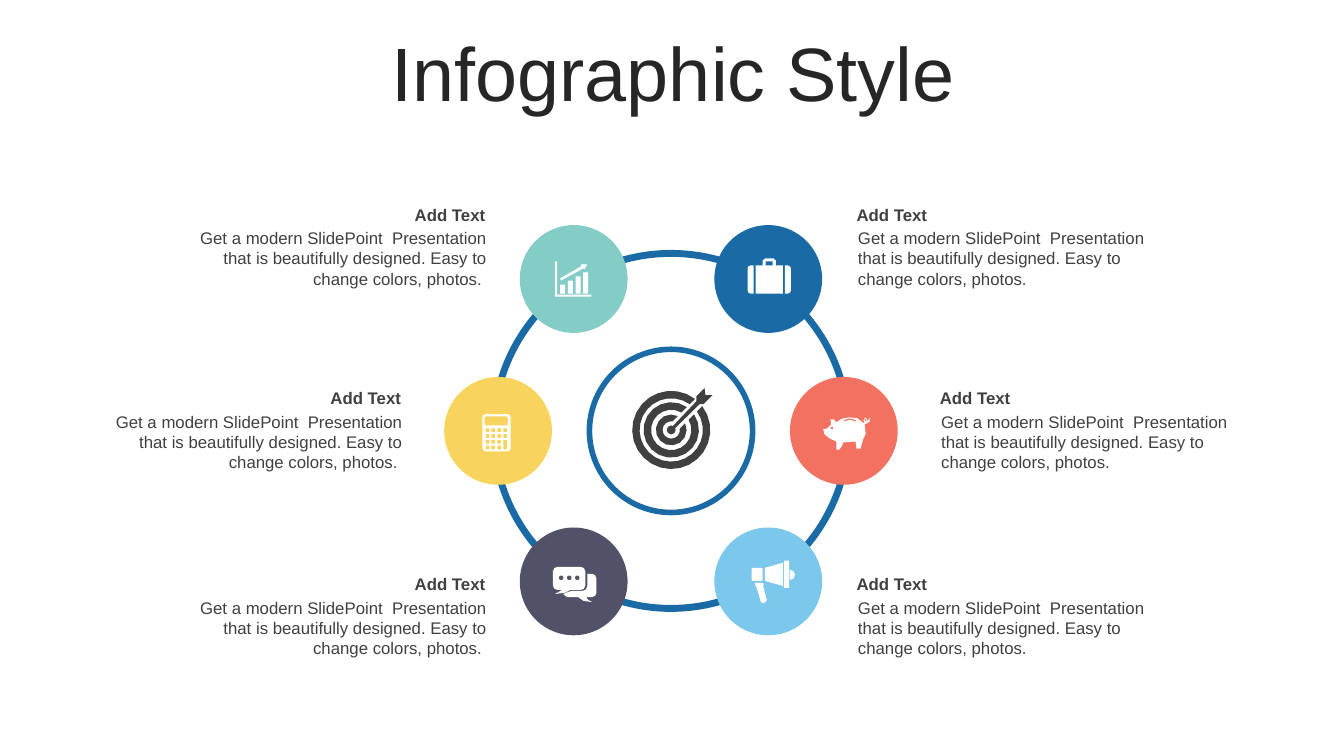
from math import asin, cos, degrees, radians, sin

from pptx import Presentation
from pptx import util as u
from pptx.dml import color
from pptx.enum import shapes, text

Pt = u.Pt


def paint(fill, hex_color):
    fill.solid()
    fill.fore_color.rgb = color.RGBColor.from_string(hex_color)


def rounded(left, top, width, height, radius=0):
    right, bottom = left + width - radius, top + height - radius
    corners = [(right, bottom), (left + radius, bottom),
               (left + radius, top + radius), (right, top + radius)]
    return [(x + radius * cos(radians(90 * quarter + angle)),
             y + radius * sin(radians(90 * quarter + angle)))
            for quarter, (x, y) in enumerate(corners)
            for angle in ((0, 45, 90) if radius else (0,))]


presentation = Presentation()
presentation.slide_width, presentation.slide_height = Pt(960), Pt(540)
slide = presentation.slides.add_slide(presentation.slide_layouts[5])

title = slide.shapes.title
title.left, title.top, title.width, title.height = Pt(25.2), Pt(26.6), Pt(911.5), Pt(57)
title.text_frame.text = "Infographic Style"
title.text_frame.auto_size = text.MSO_AUTO_SIZE.NONE
title.text_frame.vertical_anchor = text.MSO_ANCHOR.MIDDLE
paragraph = title.text_frame.paragraphs[0]
paragraph.alignment = text.PP_ALIGN.CENTER
paragraph.line_spacing = 0.9
paragraph.space_before = Pt(10)
paragraph.font.size = Pt(54)
paragraph.font.name = "Arial"
paint(paragraph.font.fill, "262626")

chart_icon = [rounded(-9.7 + 5.5 * bar, 4 - 2.9 * bar, 3.6, 6.4 + 2.9 * bar)
              for bar in range(4)]
chart_icon += [
    [(5.4, -10.4), (9.7, -10.4), (7.6, -6.8), (6.8, -7.6), (-9, 1.1), (-9.7, -0.4), (5.4, -9.1)],
    [(-13.3, -12.6), (-11.9, -12.6), (-11.9, 11.2), (12.6, 11.2), (12.6, 12.6), (-13.3, 12.6)],
]

suitcase_icon = [
    [(11.9, -9.7), (14, -9.7), (15.6, -9), (16.2, -7.6),
     (16.2, 8), (15.6, 9.7), (14, 10.4), (11.9, 10.4)],
    [(-10.4, -9.7), (-12.6, -9.7), (-14.2, -9), (-14.8, -7.6),
     (-14.8, 8), (-14.2, 9.7), (-12.6, 10.4), (-10.4, 10.4)],
    [(-9, -9.7), (-4, -9.7), (-4, -13.2), (-2.2, -14.8), (3.6, -14.8),
     (5.4, -13.2), (5.4, -9.7), (10.4, -9.7), (10.4, 10.4), (-9, 10.4)],
    rounded(-1.8, -12.6, 5, 2.9),
]

calculator_icon = [rounded(-11.2, -11.9, 20.2, 26.6, 2.2),
                   rounded(-9.7, -10.4, 16.6, 6.5, 0.9),
                   rounded(3.75, 6.4, 2.7, 6.8)]
calculator_icon += [rounded(-9 + 4.25 * column, -1.8 + 4.1 * row, 2.7, 2.7)
                    for row in range(4) for column in range(4)
                    if row < 2 or column < 3]

pig_icon = [
    [(4, -9.7), (9.7, -9), (13.3, -6.1), (14.8, -5.4), (14, -7.6),
     (15.5, -9.7), (17.1, -7.2), (18.4, -9.7), (18.4, -6.5), (14.8, -4.6),
     (15.6, 2.2), (14, 5.4), (11.9, 12.6), (9, 12.6), (8.3, 7.6), (-0.4, 8.3),
     (-1.4, 10.8), (-3.2, 13.3), (-5.4, 13.3), (-5.4, 7.6), (-10, 5.5), (-13.8, 2.5),
     (-14.8, -1.1), (-11.9, -1.8), (-9, -4.7), (-9.7, -8.3), (-7.2, -8.2),
     (-5.4, -6.1), (-1.5, -8.7)],
    [(-0.4, -7.6), (4, -9), (9, -7.6), (8.3, -6.8), (4, -8), (0.4, -6.8)],
    rounded(-9.5, -3, 2, 2, 1),
    rounded(14.9, -8.2, 1.2, 1.2),
]

chat_icon = [rounded(-10.7 + 5.75 * dot, -4.3, 3.5, 3.5, 1.75) for dot in range(3)]
chat_icon += [
    rounded(-14.8, -10.4, 23.1, 16.5, 3.2),
    [(-2.5, 6.1), (-6, 8), (-13.3, 9), (-8.3, 6.1)],
    [(9.7, -5.4), (13, -5.4), (15.3, -4.5), (16.2, -2), (16.2, 8.3), (15.3, 10.3), (13, 11.2),
     (9, 11.2), (10.3, 13.2), (13.3, 14.8), (7, 13.9), (3.2, 11.2), (-4.7, 11.2), (-7.6, 9),
     (-1.8, 6.8), (6.1, 6.8), (8.8, 5.8), (9.7, 3.2)],
]

megaphone_icon = [
    [(-9.7, 1.1), (-4, 1.1), (-3.2, 1.8), (-3.6, 3.2), (-1.1, 13.3), (-2, 14.8),
     (-3.6, 15.5), (-5.2, 14.8), (-8.3, 4.7), (-9, 3.2)],
    [(15.5, -8.3), (18, -7.3), (19.1, -4.7), (18, -2.1), (15.5, -1.1)],
    [(10.4, -13.3), (10.4, 3.2), (-2.5, -0.4), (-2.5, -9.7)],
    rounded(-11.9, -9.7, 7.9, 9.4, 1),
    rounded(11.2, -14.8, 3.6, 19.5),
]

target_icon = [
    rounded(-3.2, -3.2, 6.4, 6.4, 3.2),
    [(23.8, -29.9), (24.5, -24.8), (29.5, -24.8), (23, -18.4), (20.2, -18.4),
     (2.9, -1.3), (1.3, -2.9), (18, -20.5), (18, -24.1)],
]
for outer, inner, steps in [(27.9, 22.6, 24), (19.8, 14.4, 18), (11, 6.2, 12)]:
    band = []
    for radius, direction in [(outer, 1), (inner, -1)]:
        gap = degrees(asin(3.7 / radius))
        angles = [45 + gap + (360 - 2 * gap) * step / steps for step in range(steps + 1)]
        band += [(radius * cos(radians(angle)), -radius * sin(radians(angle)))
                 for angle in angles[::direction]]
    target_icon.append(band)

center_x, center_y = 479.3, 307.8
hub_size, ring_size, disc_size = 116.6, 258.5, 77
hub = slide.shapes.add_shape(shapes.MSO_SHAPE.OVAL, Pt(center_x - hub_size / 2),
                             Pt(center_y - hub_size / 2), Pt(hub_size), Pt(hub_size))
hub.shadow.inherit = False
paint(hub.fill, "FFFFFF")
paint(hub.line.fill, "1A6BA5")
hub.line.width = Pt(4)

ring = slide.shapes.add_shape(shapes.MSO_SHAPE.DONUT, Pt(center_x - ring_size / 2),
                              Pt(center_y - ring_size / 2), Pt(ring_size), Pt(ring_size))
ring.adjustments[0] = 0.019
ring.shadow.inherit = False
paint(ring.fill, "1A6BA5")
ring.line.fill.background()

description = ("Get a modern SlidePoint  Presentation that is beautifully designed. "
               "Easy to change colors, photos.")
left_side, right_side = text.PP_ALIGN.RIGHT, text.PP_ALIGN.LEFT
topics = [
    (-69.5, -108.5, "84CCC6", chart_icon, 123.8, 142.4, left_side),
    (69.5, -108.5, "1A6BA5", suitcase_icon, 604.8, 142.4, right_side),
    (-123.5, 0, "F8D45E", calculator_icon, 63.6, 273.4, left_side),
    (123.5, 0, "F27161", pig_icon, 664.2, 273.4, right_side),
    (69.5, 107.5, "7CC8EC", megaphone_icon, 604.8, 406.2, right_side),
    (-69.5, 107.5, "525168", chat_icon, 123.8, 406.2, left_side),
]
icons = [(center_x + 0.2, center_y - 0.7, "404040", target_icon)]
for offset_x, offset_y, disc_color, icon, text_left, text_top, alignment in topics:
    x, y = center_x + offset_x, center_y + offset_y
    disc = slide.shapes.add_shape(shapes.MSO_SHAPE.OVAL, Pt(x - disc_size / 2),
                                  Pt(y - disc_size / 2), Pt(disc_size), Pt(disc_size))
    disc.shadow.inherit = False
    paint(disc.fill, disc_color)
    disc.line.fill.background()
    icons.append((x, y, "FFFFFF", icon))

    body = description + " " if alignment == left_side else description
    for words, shift_x, shift_y, height, bold in [("Add Text", 0, 0, 21.6, True),
                                                  (body, 1, 16.9, 51, False)]:
        box = slide.shapes.add_textbox(Pt(text_left + shift_x), Pt(text_top + shift_y),
                                       Pt(230), Pt(height))
        box.text_frame.word_wrap = True
        box.text_frame.auto_size = text.MSO_AUTO_SIZE.SHAPE_TO_FIT_TEXT
        box.text_frame.text = words
        paragraph = box.text_frame.paragraphs[0]
        paragraph.alignment = alignment
        paragraph.font.size = Pt(12)
        paragraph.font.name = "Arial"
        paragraph.font.bold = bold
        paint(paragraph.font.fill, "404040")

for x, y, icon_color, contours in icons:
    placed = [[(Pt(x + dx), Pt(y + dy)) for dx, dy in contour] for contour in contours]
    builder = slide.shapes.build_freeform(*placed[0][0])
    for contour in placed:
        if contour is not placed[0]:
            builder.move_to(*contour[0])
        builder.add_line_segments(contour[1:], close=True)
    shape = builder.convert_to_shape()
    shape.shadow.inherit = False
    paint(shape.fill, icon_color)
    shape.line.fill.background()

presentation.save("out.pptx")
